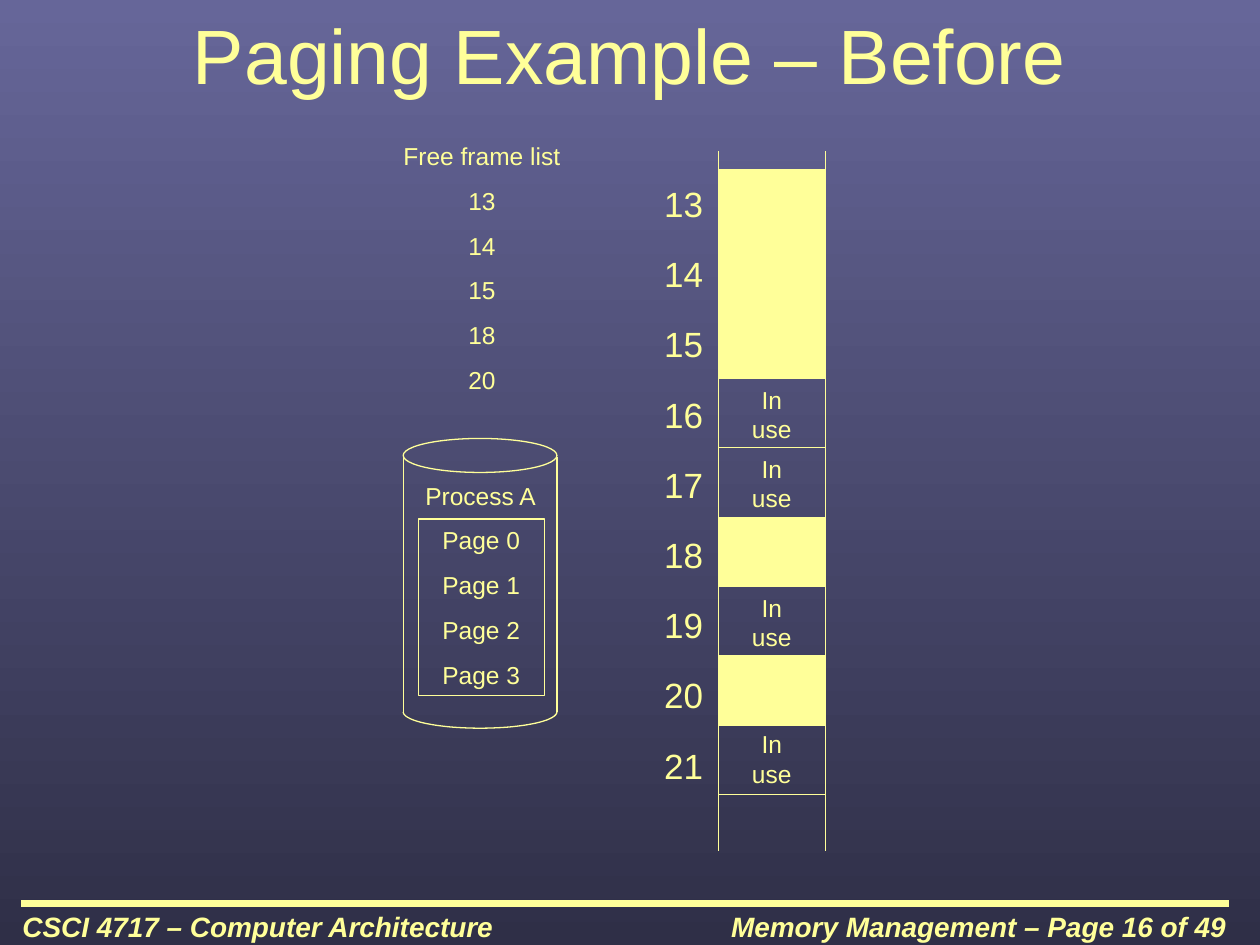
import math
from dataclasses import dataclass

from lxml import etree
from pptx import Presentation
from pptx.dml.color import RGBColor
from pptx.enum.shapes import MSO_CONNECTOR, MSO_SHAPE
from pptx.enum.text import MSO_ANCHOR, MSO_AUTO_SIZE, PP_ALIGN
from pptx.oxml.ns import qn
from pptx.util import Pt

STRAIGHT = MSO_CONNECTOR.STRAIGHT
RECTANGLE, OVAL = MSO_SHAPE.RECTANGLE, MSO_SHAPE.OVAL
LEFT, CENTER, RIGHT = PP_ALIGN.LEFT, PP_ALIGN.CENTER, PP_ALIGN.RIGHT
TOP, MIDDLE = MSO_ANCHOR.TOP, MSO_ANCHOR.MIDDLE
NO_FIT, GROW = MSO_AUTO_SIZE.NONE, MSO_AUTO_SIZE.SHAPE_TO_FIT_TEXT


@dataclass(frozen=True)
class Theme:
    ink: RGBColor = RGBColor.from_string("FFFF99")
    background_top: RGBColor = RGBColor.from_string("666699")
    background_bottom: RGBColor = RGBColor.from_string("2F2F47")
    font: str = "Arial"
    title: float = 44
    frame_number: float = 20
    footer: float = 16
    label: float = 14
    thin: float = 0.75
    thick: float = 4


THEME = Theme()

TITLE = "Paging Example – Before"
FOOTERS = [
    ("CSCI 4717 – Computer Architecture", 5.76, LEFT),
    ("Memory Management – Page 16 of 49", 342, RIGHT),
]
FREE_FRAMES = [13, 14, 15, 18, 20]
FRAMES = range(13, 22)
PROCESS = "Process A"
PAGES = ["Page 0", "Page 1", "Page 2", "Page 3"]
IN_USE = "In", "use"

FOOTER_TOP = 516.24
STACK_LEFT, STACK_TOP, STACK_WIDTH = 410.4, 97.2, 61.2
FRAME_HEIGHT = 39.67
RAIL_TOP, RAIL_BOTTOM = 86.4, 486
IN_USE_WIDTH, IN_USE_HEIGHT = 39.6, 41
DISK_LEFT, DISK_WIDTH = 230.4, 87.84
DISK_SIDE_TOP, DISK_SIDE_BOTTOM = 261.36, 406.8
DISK_LID_TOP, DISK_LID_HEIGHT, DISK_CURVE = 250.56, 19.44, 9.36
CURVE_STEPS = 36


def write_text(shape, lines, size, align=CENTER, spacing=None, before=0.625,
               anchor=TOP, fit=GROW, bold=None, italic=None):
    frame = shape.text_frame
    frame.word_wrap = True
    frame.auto_size = fit
    frame.vertical_anchor = anchor
    for index, pieces in enumerate(lines):
        paragraph = frame.paragraphs[0] if index == 0 else frame.add_paragraph()
        paragraph.alignment = align
        paragraph.space_before = Pt(round(size * before, 1))
        if spacing:
            paragraph.line_spacing = spacing
        for position, piece in enumerate(pieces):
            if position:
                paragraph.add_line_break()
            run = paragraph.add_run()
            run.text = piece
            font = run.font
            font.name, font.size = THEME.font, Pt(size)
            font.bold, font.italic = bold, italic
            font.color.rgb = THEME.ink


def add_text(shapes, box, lines, size, **options):
    shape = shapes.add_textbox(*map(Pt, box))
    write_text(shape, lines, size, **options)


def style_shape(shape, filled=False):
    shape.shadow.inherit = False
    if filled:
        shape.fill.solid()
        shape.fill.fore_color.rgb = THEME.ink
    else:
        shape.fill.background()
    shape.line.color.rgb = THEME.ink
    shape.line.width = Pt(THEME.thin)


def add_outline(shapes, kind, box, filled=False):
    shape = shapes.add_shape(kind, *map(Pt, box))
    style_shape(shape, filled)
    return shape


def add_line(shapes, start, end, width=THEME.thin):
    line = shapes.add_connector(STRAIGHT, *map(Pt, start + end))
    line.line.color.rgb = THEME.ink
    line.line.width = Pt(width)
    etree.SubElement(line._element.spPr, qn("a:effectLst"))


def add_sides(shapes, left, width, top, bottom):
    for x in (left, left + width):
        add_line(shapes, (x, top), (x, bottom))


def paint_background(slide):
    fill = slide.background.fill
    fill.gradient()
    fill.gradient_angle = 270
    colours = THEME.background_top, THEME.background_bottom
    for position, (stop, colour) in enumerate(zip(fill.gradient_stops, colours)):
        stop.position = position
        stop.color.rgb = colour


def add_title(slide):
    title = slide.shapes.title
    title.left, title.top, title.width, title.height = map(Pt, (36, 0, 648, 61.2))
    write_text(title, [[TITLE]], THEME.title, before=0, anchor=MIDDLE, fit=NO_FIT)


def add_footer(shapes):
    add_line(shapes, (12.24, FOOTER_TOP), (702, FOOTER_TOP), THEME.thick)
    for text, left, align in FOOTERS:
        add_text(shapes, (left, FOOTER_TOP, 365.76, 26.64), [[text]], THEME.footer,
                 align=align, bold=True, italic=True)


def add_disk(shapes):
    add_text(shapes, (226.8, 271.44, 95.76, 24.48), [[PROCESS]], THEME.label)
    pages = add_outline(shapes, RECTANGLE, (239.04, 296.64, 72, 100.8))
    write_text(pages, [[page] for page in PAGES], THEME.label)

    disk = shapes.add_group_shape().shapes
    add_outline(disk, OVAL, (DISK_LEFT, DISK_LID_TOP, DISK_WIDTH, DISK_LID_HEIGHT))
    add_sides(disk, DISK_LEFT, DISK_WIDTH, DISK_SIDE_TOP, DISK_SIDE_BOTTOM)
    radius = DISK_WIDTH / 2
    angles = [math.pi * step / CURVE_STEPS for step in range(CURVE_STEPS + 1)]
    curve = [(DISK_LEFT + radius * (1 - math.cos(angle)),
              DISK_SIDE_BOTTOM + DISK_CURVE * math.sin(angle)) for angle in angles]
    points = [(Pt(x), Pt(y)) for x, y in curve]
    builder = disk.build_freeform(*points[0])
    builder.add_line_segments(points[1:], close=False)
    style_shape(builder.convert_to_shape())


def add_memory(shapes):
    add_sides(shapes, STACK_LEFT, STACK_WIDTH, RAIL_TOP, RAIL_BOTTOM)
    add_text(shapes, (370.8, STACK_TOP, 39.6, 355.68),
             [[str(number)] for number in FRAMES], THEME.frame_number, spacing=1.15)
    stack_bottom = STACK_TOP + len(FRAMES) * FRAME_HEIGHT
    label_left = STACK_LEFT + (STACK_WIDTH - IN_USE_WIDTH) / 2
    for row, number in enumerate(FRAMES):
        top = STACK_TOP + row * FRAME_HEIGHT
        free = number in FREE_FRAMES
        add_outline(shapes, RECTANGLE, (STACK_LEFT, top, STACK_WIDTH, FRAME_HEIGHT), free)
        if not free:
            label_top = min(top, stack_bottom - IN_USE_HEIGHT)
            add_text(shapes, (label_left, label_top, IN_USE_WIDTH, IN_USE_HEIGHT),
                     [IN_USE], THEME.label)


def add_free_list(shapes):
    lines = [["Free frame list"]] + [[str(number)] for number in FREE_FRAMES]
    add_text(shapes, (212.4, 77.04, 126, 151.92), lines, THEME.label)


def main():
    presentation = Presentation()
    presentation.slide_width, presentation.slide_height = Pt(720), Pt(540)
    slide = presentation.slides.add_slide(presentation.slide_layouts[5])
    paint_background(slide)
    add_title(slide)
    add_footer(slide.shapes)
    add_disk(slide.shapes)
    add_memory(slide.shapes)
    add_free_list(slide.shapes)
    presentation.save("out.pptx")


if __name__ == "__main__":
    main()
